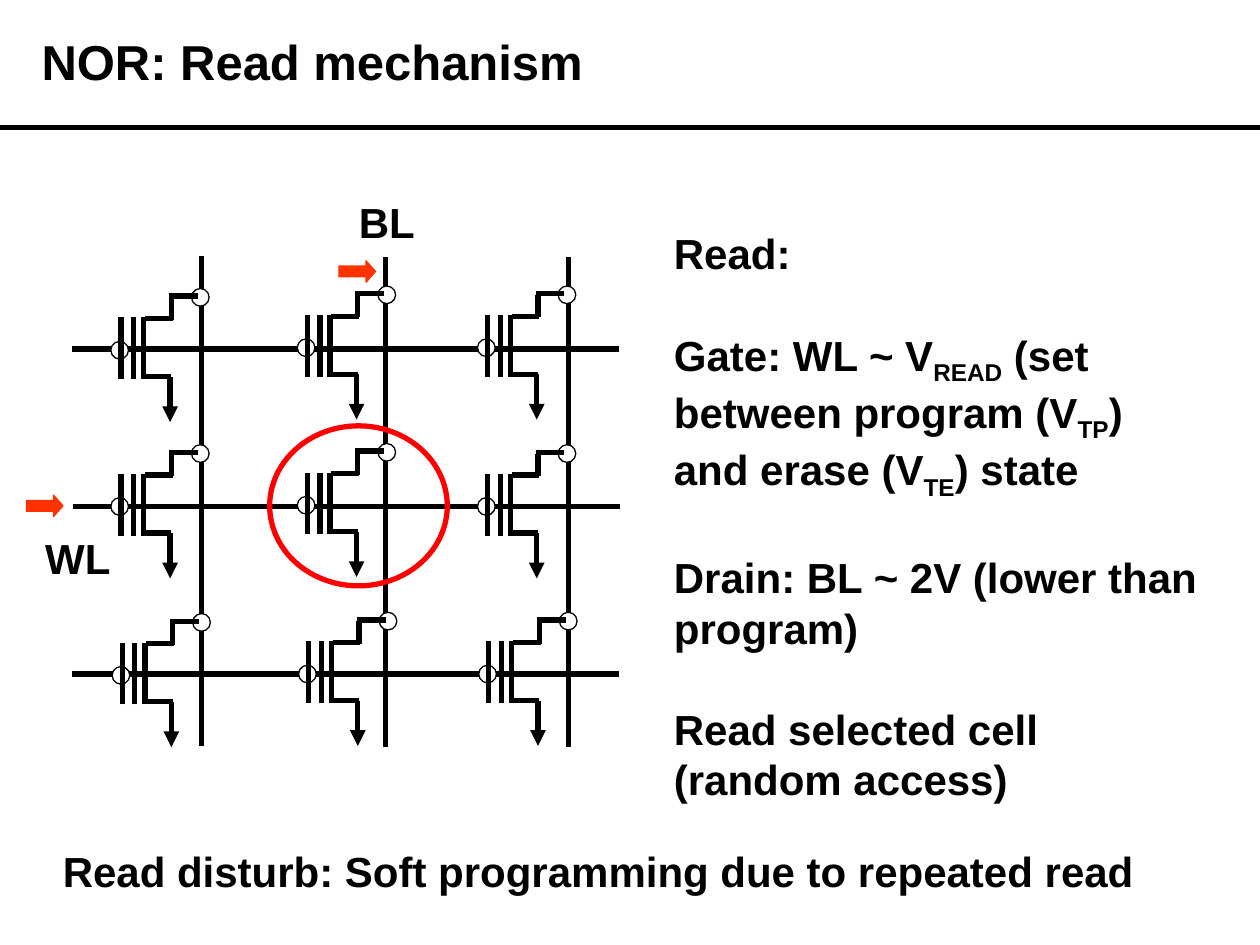
import pptx
import pptx.util
import pptx.dml.color
import pptx.enum.shapes
import pptx.enum.text
import pptx.oxml
import pptx.oxml.ns

Inches = pptx.util.Inches
Pt = pptx.util.Pt
SHAPES = pptx.enum.shapes.MSO_SHAPE
COLORS = {"ink": "000000", "paper": "FFFFFF", "signal": "FF3300", "selected": "FF0000"}
FONT = "Arial"

TITLE = "NOR: Read mechanism"
READ_STEPS = [
    [("Read:", False)],
    [("Gate: WL ~ V", False), ("READ", True), (" (set between program (V", False),
     ("TP", True), (") and erase (V", False), ("TE", True), (") state", False)],
    [("Drain: BL ~ 2V (lower than program)", False)],
    [("Read selected cell (random access)", False)],
]
LABELS = [
    ("WL", (0.26, 4.18, 0.92, 0.5), True),
    ("BL", (2.75, 1.51, 1.01, 0.5), True),
    ("Read disturb: Soft programming due to repeated read", (0.4, 6.66, 8.7, 0.5), False),
]
WORD_LINES = [(0.57, 2.77), (0.58, 4.02), (0.57, 5.35)]
WORD_LINE_LENGTH = 4.34
BIT_LINES = [(1.6, 2.03), (3.06, 2.04), (4.51, 2.04)]
BIT_LINE_LENGTH = 3.89
CELL_LEFTS = [0.88, 2.36, 3.79]
CELL_TOPS = [(2.29, 2.27, 2.27), (3.53, 3.52, 3.53), (4.87, 4.86, 4.86)]
ROW_SHIFTS = [0, 0, 0.01]
CONTACTS = [(0.64, 0), (0, 0.42)]
CONTACT_SIZE = 0.14
TRANSISTOR = [
    (0.08, 0.72, 0.08, 0.23), (0.18, 0.72, 0.18, 0.23), (0.26, 0.72, 0.26, 0.23),
    (0.25, 0.7, 0.48, 0.7), (0.27, 0.24, 0.49, 0.24), (0.47, 0.7, 0.47, 0.97),
    (0.48, 0.07, 0.48, 0.25), (0.46, 0.06, 0.69, 0.06),
]
GROUND = (0.47, 0.83, 0.47, 1.06)
SIGNAL_ARROWS = [(0.21, 3.93, 0.29, 0.17), (2.69, 2.07, 0.29, 0.17)]
SELECTED_CELL = (2.14, 3.38, 1.41, 1.27)


def rgb(name):
    return pptx.dml.color.RGBColor.from_string(COLORS[name])


def add_line(slide, x1, y1, x2, y2, arrow=False):
    line = slide.shapes.add_connector(
        pptx.enum.shapes.MSO_CONNECTOR.STRAIGHT, Inches(x1), Inches(y1), Inches(x2), Inches(y2))
    line.line.color.rgb = rgb("ink")
    line.line.width = Pt(3)
    if arrow:
        head = pptx.oxml.parse_xml(f'<a:tailEnd {pptx.oxml.ns.nsdecls("a")} type="triangle"/>')
        line.line._get_or_add_ln().append(head)
    line._element.spPr.append(pptx.oxml.parse_xml(f'<a:effectLst {pptx.oxml.ns.nsdecls("a")}/>'))


def add_outline(slide, preset, box, fill, outline, width):
    shape = slide.shapes.add_shape(preset, *map(Inches, box))
    shape.shadow.inherit = False
    if fill:
        shape.fill.solid()
        shape.fill.fore_color.rgb = rgb(fill)
    else:
        shape.fill.background()
    shape.line.color.rgb = rgb(outline)
    shape.line.width = Pt(width)
    return shape


def write(shape, paragraphs, size=24, gap=0, wrap=True):
    frame = shape.text_frame
    frame.word_wrap = wrap
    frame.auto_size = pptx.enum.text.MSO_AUTO_SIZE.NONE
    frame.vertical_anchor = pptx.enum.text.MSO_ANCHOR.TOP
    for index, runs in enumerate(paragraphs):
        paragraph = frame.add_paragraph() if index else frame.paragraphs[0]
        paragraph.alignment = pptx.enum.text.PP_ALIGN.LEFT
        paragraph.space_before = Pt(gap if index else 0)
        for text, subscript in runs:
            run = paragraph.add_run()
            run.text = text
            run.font.name = FONT
            run.font.size = Pt(size)
            run.font.bold = True
            run.font.color.rgb = rgb("ink")
            if subscript:
                run.font._element.set("baseline", "-25000")


def add_text(slide, box, paragraphs, **options):
    write(slide.shapes.add_textbox(*map(Inches, box)), paragraphs, **options)


def add_cell(slide, left, top):
    for dx, dy in CONTACTS:
        add_outline(slide, SHAPES.OVAL, (left + dx, top + dy, CONTACT_SIZE, CONTACT_SIZE),
                    "paper", "ink", 0.75)
    for segment in [GROUND] + TRANSISTOR:
        x1, y1, x2, y2 = segment
        add_line(slide, left + x1, top + y1, left + x2, top + y2, arrow=segment is GROUND)


def main():
    """Build the slide on the NOR flash read mechanism."""
    deck = pptx.Presentation()
    deck.slide_width, deck.slide_height = Inches(10), Inches(7.5)
    slide = deck.slides.add_slide(deck.slide_layouts[5])
    title = slide.shapes.title
    title.left, title.top, title.width, title.height = map(Inches, (0.23, 0.2, 7.03, 0.57))
    write(title, [[(TITLE, False)]], size=28)
    add_line(slide, 0, 1.01, 10, 1.01)
    add_text(slide, (5.25, 1.76, 4.35, 4.67), READ_STEPS, gap=29)

    for x, y in WORD_LINES:
        add_line(slide, x, y, x + WORD_LINE_LENGTH, y)
    for x, y in BIT_LINES:
        add_line(slide, x, y, x, y + BIT_LINE_LENGTH)
    for tops, shift in zip(CELL_TOPS, ROW_SHIFTS):
        for left, top in zip(CELL_LEFTS, tops):
            add_cell(slide, left + shift, top)

    for box in SIGNAL_ARROWS:
        arrow = add_outline(slide, SHAPES.RIGHT_ARROW, box, "signal", "signal", 0.75)
        arrow.adjustments[1] = 0.44
    for text, box, wrap in LABELS:
        add_text(slide, box, [[(text, False)]], wrap=wrap)
    add_outline(slide, SHAPES.OVAL, SELECTED_CELL, None, "selected", 3)
    deck.save("out.pptx")


if __name__ == "__main__":
    main()
